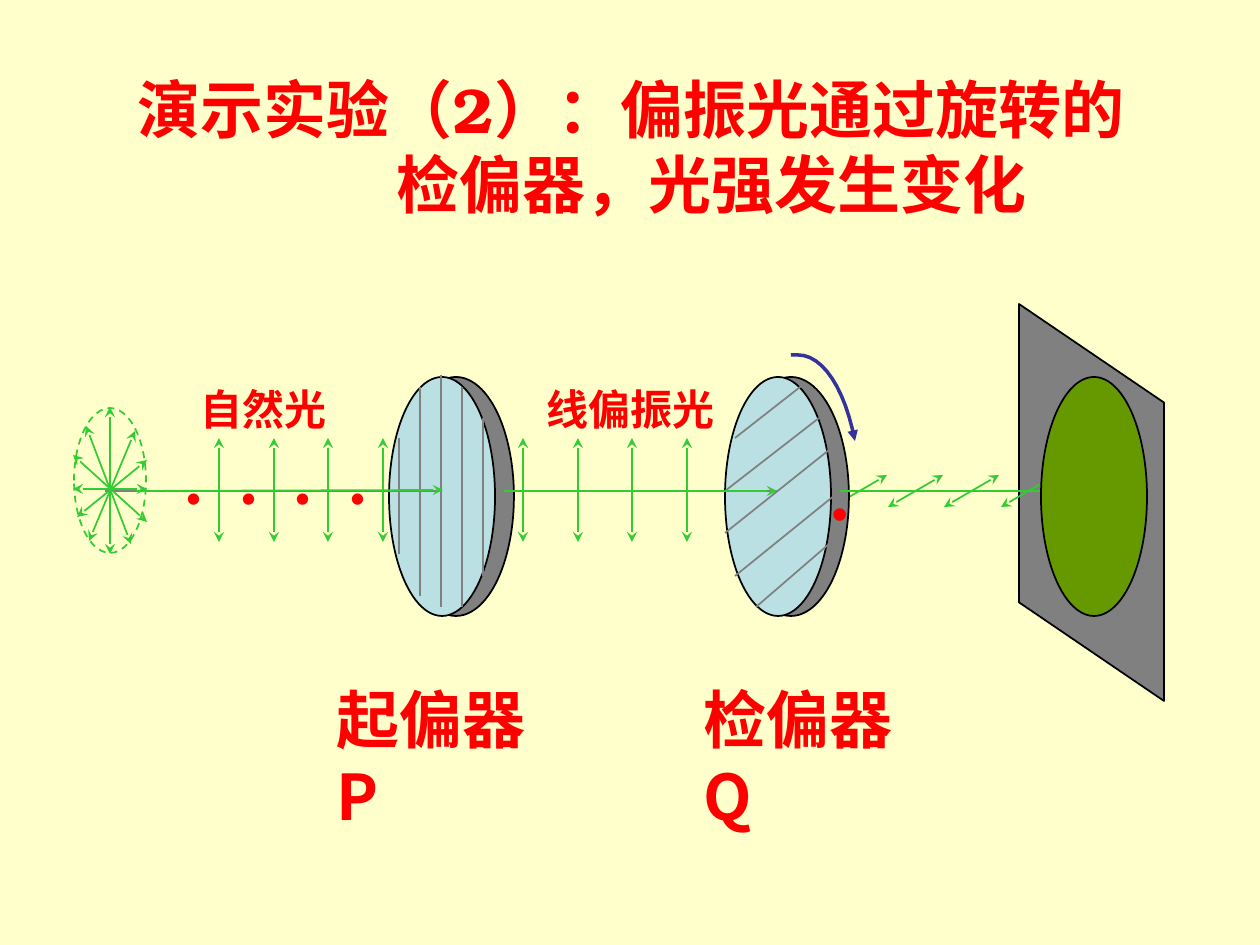
import pptx
import pptx.util
import pptx.dml.color
import pptx.enum.dml
import pptx.enum.shapes
import pptx.enum.text
from pptx.oxml.ns import qn
from lxml import etree

HUES = {"paper": "FFFFCC", "red": "FF0000", "green": "33CC33", "gray": "808080",
        "glass": "BBE0E3", "black": "000000", "olive": "669900", "blue": "333399"}
SERIF = "TeX Gyre Bonum"
SANS = "Noto Sans CJK SC"
KIND = pptx.enum.shapes.MSO_SHAPE


def px(n):
    return pptx.util.Emu(round(n * 914400 / 126))


def hue(name):
    return pptx.dml.color.RGBColor.from_string(HUES[name])


class Pen:
    def __init__(self, slide):
        self.slide = slide
        self.shapes = slide.shapes
        fill = slide.background.fill
        fill.solid()
        fill.fore_color.rgb = hue("paper")

    def edge(self, item, color, width=1, ends=(), tip="stealth"):
        item.line.color.rgb = hue(color)
        item.line.width = pptx.util.Pt(width)
        for end in ends:
            etree.SubElement(item.line._get_or_add_ln(), qn("a:" + end), type=tip)

    def line(self, a, b, color="green", ends=()):
        item = self.shapes.add_connector(
            pptx.enum.shapes.MSO_CONNECTOR.STRAIGHT, px(a[0]), px(a[1]), px(b[0]), px(b[1]))
        self.edge(item, color, ends=ends)
        etree.SubElement(item._element.spPr, qn("a:effectLst"))

    def wave(self, a, b):
        self.line(a, b, ends=("headEnd", "tailEnd"))

    def shape(self, kind, x, y, w, h, fill=None, line="black"):
        item = self.shapes.add_shape(kind, px(x), px(y), px(w), px(h))
        item.shadow.inherit = False
        if fill:
            item.fill.solid()
            item.fill.fore_color.rgb = hue(fill)
        else:
            item.fill.background()
        self.edge(item, line)
        return item

    def oval(self, x, y, w, h, fill=None, line="black"):
        return self.shape(KIND.OVAL, x, y, w, h, fill, line)

    def curve(self, dots, color, width):
        form = self.shapes.build_freeform(px(dots[0][0]), px(dots[0][1]))
        form.add_line_segments([(px(x), px(y)) for x, y in dots[1:]], close=False)
        item = form.convert_to_shape()
        item.shadow.inherit = False
        item.fill.background()
        self.edge(item, color, width, ("tailEnd",), "triangle")

    def run(self, para, text, size, face):
        run = para.add_run()
        run.text = text
        run.font.size = pptx.util.Pt(size)
        run.font.bold = True
        run.font.name = face
        run.font.color.rgb = hue("red")
        etree.SubElement(run._r.get_or_add_rPr(), qn("a:ea"), typeface=face)

    def label(self, x, y, w, h, lines, size, face=SANS, pitch=None):
        box = self.shapes.add_textbox(px(x), px(y), px(w), px(h))
        box.text_frame.word_wrap = True
        para = box.text_frame.paragraphs[0]
        if pitch:
            para.line_spacing = pptx.util.Pt(pitch)
        for i, text in enumerate(lines):
            if i:
                para.add_line_break()
            self.run(para, text, size, face)

    def title(self, x, y, w, h, lines):
        item = self.slide.shapes.title
        item.left, item.top, item.width, item.height = px(x), px(y), px(w), px(h)
        frame = item.text_frame
        frame.word_wrap = True
        frame.auto_size = pptx.enum.text.MSO_AUTO_SIZE.NONE
        frame.vertical_anchor = pptx.enum.text.MSO_ANCHOR.TOP
        for i, (text, inset) in enumerate(lines):
            para = frame.add_paragraph() if i else frame.paragraphs[0]
            para.alignment = pptx.enum.text.PP_ALIGN.LEFT
            para._p.get_or_add_pPr().set("marL", str(px(inset)))
            self.run(para, text, 36, SERIF)


def bend(a, b, c, d, steps=12):
    for i in range(steps + 1):
        t = i / steps
        s = 1 - t
        yield tuple(s**3 * p + 3 * s * s * t * q + 3 * s * t * t * r + t**3 * e
                    for p, q, r, e in zip(a, b, c, d))


def main():
    deck = pptx.Presentation()
    deck.slide_width, deck.slide_height = px(1260), px(945)
    pen = Pen(deck.slides.add_slide(deck.slide_layouts[5]))
    pen.title(125, 64, 1070, 164,
              [("演示实验（2）：偏振光通过旋转的", 0), ("检偏器，光强发生变化", 259)])

    pen.wave((887, 475), (832, 507))
    for x in (398, 733):
        pen.oval(x, 377, 116, 239, "gray")
    for x in (389, 725):
        pen.oval(x, 377, 106, 239, "glass")
    screen = pen.shape(KIND.PARALLELOGRAM, 893, 430, 397, 145, "gray")
    screen.adjustments[0] = 0.68
    screen.rotation = 90
    pen.line((504, 491), (777, 491), "gray")
    pen.line((840, 491), (1092, 491), ends=("tailEnd",))
    pen.line((105, 491), (441, 491), "gray")

    pen.shapes = pen.slide.shapes.add_group_shape().shapes
    rim = pen.oval(74, 408, 72, 145, line="green")
    rim.line.dash_style = pptx.enum.dml.MSO_LINE.DASH
    for a, b in [((110, 407), (110, 554)), ((135, 431), (89, 541)),
                 ((73, 455), (147, 522)), ((73, 489), (147, 489)),
                 ((86, 426), (131, 544)), ((77, 517), (147, 460))]:
        pen.wave(a, b)
    pen.shapes = pen.slide.shapes

    for start in (219, 523):
        for i in range(4):
            x = start + round(54.6 * i)
            pen.wave((x, 438), (x, 542))
    for i in range(4):
        pen.label(171 + round(54.6 * i), 435, 60, 88, ["."], 36, SERIF)
    for i in range(3):
        x = 943 + round(56.5 * i)
        pen.wave((x, 475), (x - 55, 507))

    for x, top, base in [(441, 375, 607), (462, 387, 607), (483, 418, 576),
                         (420, 387, 596), (399, 438, 554)]:
        pen.line((x, top), (x, base), "gray")
    for a, b in [((829, 450), (725, 533)), ((840, 491), (735, 576)),
                 ((829, 544), (756, 607)), ((819, 418), (725, 491)),
                 ((804, 384), (735, 438))]:
        pen.line(a, b, "gray")
    pen.line((504, 491), (777, 491), ends=("tailEnd",))
    pen.line((136, 491), (443, 490), ends=("tailEnd",))

    turn = bend((798, 355), (823, 355), (845, 389), (855, 441))
    pen.curve([(791, 355), *turn], "blue", 2)
    pen.label(816, 444, 64, 97, ["."], 40, SERIF)
    for x, name, mark in [(324, "起偏器", "P"), (691, "检偏器", "Q")]:
        pen.label(x, 673, 267, 168, [name, mark], 36, pitch=44)
    for x, w, text in [(188, 155, "自然光"), (534, 198, "线偏振光")]:
        pen.label(x, 377, w, 63, [text], 24, pitch=29)
    pen.oval(1041, 377, 106, 239, "olive")
    deck.save("out.pptx")


if __name__ == "__main__":
    main()
